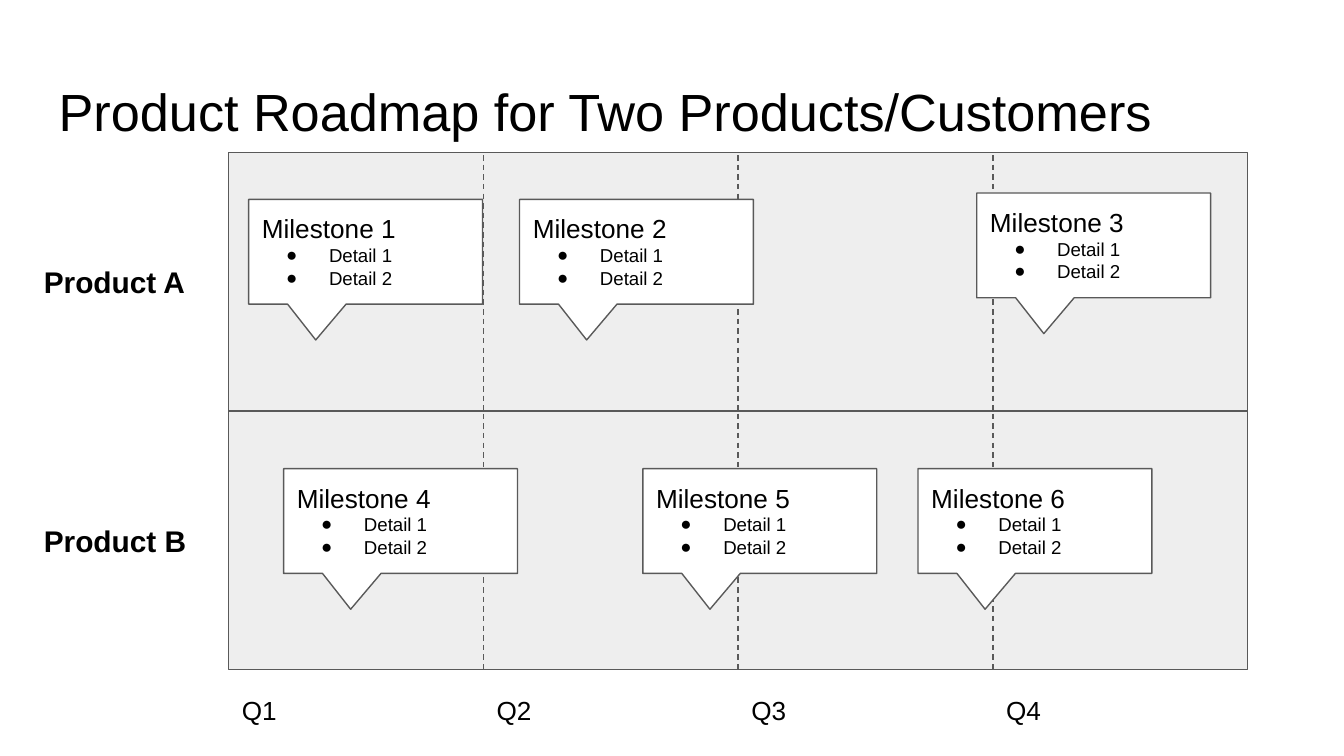
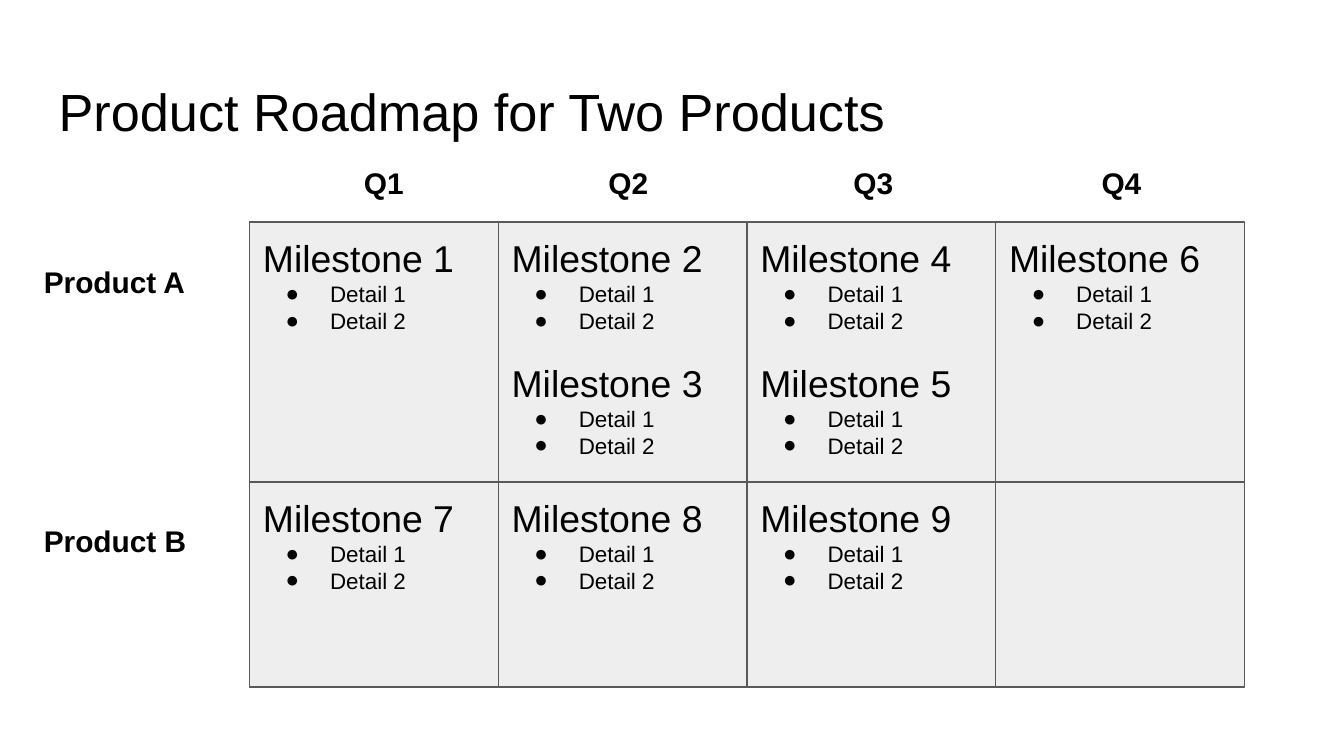
from dataclasses import dataclass

from lxml.etree import SubElement
from pptx import Presentation
from pptx.dml.color import RGBColor
from pptx.enum.dml import MSO_LINE_DASH_STYLE as Dash
from pptx.enum.shapes import MSO_CONNECTOR as Connector
from pptx.enum.shapes import MSO_SHAPE as Preset
from pptx.enum.text import MSO_ANCHOR as Anchor
from pptx.enum.text import PP_ALIGN as Align
from pptx.oxml.ns import qn
from pptx.util import Cm, Pt


@dataclass(frozen=True)
class Theme:
    """Colours, font and type sizes shared by both slides."""

    font: str = "Arial"
    ink: str = "000000"
    outline: str = "595959"
    panel: str = "EEEEEE"
    paper: str = "FFFFFF"
    line: float = 0.75
    title: int = 28
    label: int = 16
    quarter: int = 14
    callout: tuple = (14, 10, 0.81)
    cell: tuple = (20, 12, 0.84)


THEME = Theme()
QUARTERS = ("Q1", "Q2", "Q3", "Q4")
DETAILS = ("Detail 1", "Detail 2")
PRODUCTS = (("Product A", 4.67), ("Product B", 9.55))
INSET = 0.25
BULLET_INDENT = 1.27

BAND_LEFT, BAND_WIDTH, BAND_HEIGHT = 4.32, 19.26, 4.89
BAND_TOPS = (2.88, 2.88 + BAND_HEIGHT)
QUARTER_WIDTH = BAND_WIDTH / len(QUARTERS)
CALLOUTS = (
    (1, 4.70, 3.77), (2, 9.82, 3.77), (3, 18.46, 3.65),
    (4, 5.36, 8.86), (5, 12.15, 8.86), (6, 17.35, 8.86),
)

GRID_LEFT, CELL_WIDTH = 4.72, 4.70
HEADER_LEFTS = (6.63, 11.25, 15.88, 20.57)
GRID_ROWS = (
    (4.20, 4.91, ((1,), (2, 3), (4, 5), (6,))),
    (9.11, 3.88, ((7,), (8,), (9,), ())),
)


def apply(target, values):
    """Set each named attribute on the target."""
    for name, value in values.items():
        setattr(target, name, value)


def box(left, top, width, height):
    """Turn centimetres into lengths."""
    return [Cm(value) for value in (left, top, width, height)]


def prepare_frame(shape, anchor=Anchor.TOP):
    """Give a text frame the shared insets and wrapping."""
    margins = {f"margin_{side}": Cm(INSET) for side in ("left", "top", "right", "bottom")}
    apply(shape.text_frame, {"word_wrap": True, "vertical_anchor": anchor, **margins})
    return shape.text_frame


def write(paragraph, text, size, bold=False):
    """Put one left-aligned run into a paragraph."""
    paragraph.alignment = Align.LEFT
    run = paragraph.add_run()
    run.text = text
    apply(run.font, {"name": THEME.font, "size": Pt(size), "bold": bold})
    run.font.color.rgb = RGBColor.from_string(THEME.ink)


def add_bullet(paragraph, hanging):
    """Give a paragraph a round bullet with a hanging indent."""
    properties = paragraph._p.get_or_add_pPr()
    properties.set("marL", str(Cm(BULLET_INDENT)))
    properties.set("indent", str(-Cm(hanging)))
    SubElement(properties, qn("a:buFont"), typeface=THEME.font)
    SubElement(properties, qn("a:buChar"), char="●")


def add_text(slide, text, area, size, bold=False, anchor=Anchor.TOP):
    """Add a one-line text box."""
    shape = slide.shapes.add_textbox(*box(*area))
    write(prepare_frame(shape, anchor).paragraphs[0], text, size, bold)


def style_line(line):
    """Apply the shared outline."""
    line.color.rgb = RGBColor.from_string(THEME.outline)
    line.width = Pt(THEME.line)


def add_panel(shapes, preset, area, fill):
    """Add a filled and outlined preset shape."""
    shape = shapes.add_shape(preset, *box(*area))
    shape.shadow.inherit = False
    shape.fill.solid()
    shape.fill.fore_color.rgb = RGBColor.from_string(fill)
    style_line(shape.line)
    return shape


def add_divider(shapes, x, top, bottom):
    """Add a dashed vertical line."""
    line = shapes.add_connector(Connector.STRAIGHT, Cm(x), Cm(top), Cm(x), Cm(bottom))
    style_line(line.line)
    line.line.dash_style = Dash.DASH
    SubElement(line._element.spPr, qn("a:effectLst"))


def add_band(slide, top):
    """Add a product band divided into quarters."""
    shapes = slide.shapes.add_group_shape().shapes
    add_panel(shapes, Preset.RECTANGLE, (BAND_LEFT, top, BAND_WIDTH, BAND_HEIGHT), THEME.panel)
    for quarter in range(1, len(QUARTERS)):
        x = BAND_LEFT + quarter * QUARTER_WIDTH
        add_divider(shapes, x, top + 0.05, top + BAND_HEIGHT)


def write_milestones(shape, numbers, style):
    """List milestones with their details inside a shape."""
    heading_size, detail_size, hanging = style
    frame = prepare_frame(shape)
    for position, number in enumerate(numbers):
        heading = frame.add_paragraph() if position else frame.paragraphs[0]
        if position:
            heading.space_before = Pt(14)
        write(heading, f"Milestone {number}", heading_size)
        for detail in DETAILS:
            paragraph = frame.add_paragraph()
            write(paragraph, detail, detail_size)
            add_bullet(paragraph, hanging)


def add_callout(slide, number, left, top):
    """Add a milestone callout with its pointer below."""
    shape = add_panel(slide.shapes, Preset.RECTANGULAR_CALLOUT, (left, top, 4.42, 1.98), THEME.paper)
    shape.adjustments[0], shape.adjustments[1] = -0.213, 0.842
    write_milestones(shape, (number,), THEME.callout)


def add_roadmap_slide(presentation, title):
    """Add a slide with the shared title and product labels."""
    slide = presentation.slides.add_slide(presentation.slide_layouts[6])
    add_text(slide, title, (0.86, 1.24, 23.67, 1.6), THEME.title)
    for name, top in PRODUCTS:
        add_text(slide, name, (0.58, top, 3.28, 1.32), THEME.label, True, Anchor.MIDDLE)
    return slide


def build_timeline(presentation):
    """Build the timeline with milestone callouts."""
    slide = add_roadmap_slide(presentation, "Product Roadmap for Two Products/Customers")
    for top in BAND_TOPS:
        add_band(slide, top)
    for index, quarter in enumerate(QUARTERS):
        left = BAND_LEFT + index * QUARTER_WIDTH
        add_text(slide, quarter, (left, 12.88, 1.24, 0.79), THEME.quarter)
    for number, left, top in CALLOUTS:
        add_callout(slide, number, left, top)


def build_grid(presentation):
    """Build the grid of milestones by product and quarter."""
    slide = add_roadmap_slide(presentation, "Product Roadmap for Two Products")
    for quarter, left in zip(QUARTERS, HEADER_LEFTS):
        add_text(slide, quarter, (left, 2.87, 1.65, 0.79), THEME.label, True)
    for top, height, cells in GRID_ROWS:
        for column, numbers in enumerate(cells):
            area = (GRID_LEFT + column * CELL_WIDTH, top, CELL_WIDTH, height)
            shape = add_panel(slide.shapes, Preset.RECTANGLE, area, THEME.panel)
            write_milestones(shape, numbers, THEME.cell)


def main():
    """Create and save the presentation."""
    presentation = Presentation()
    apply(presentation, {"slide_width": Cm(25.4), "slide_height": Cm(14.29)})
    build_timeline(presentation)
    build_grid(presentation)
    presentation.save("out.pptx")


main()
